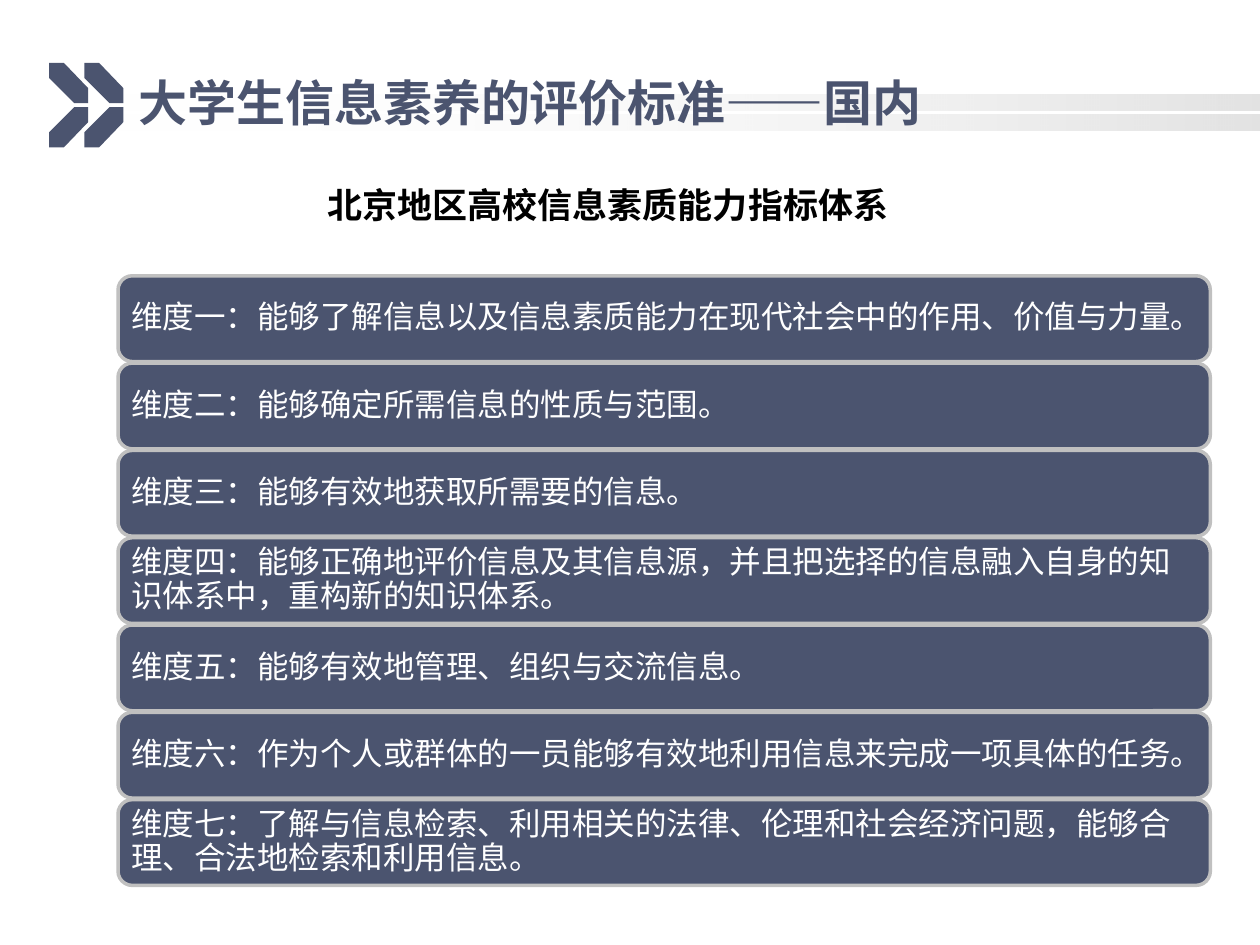
from dataclasses import dataclass

import lxml.etree
import pptx
import pptx.dml.color
import pptx.enum.shapes
import pptx.enum.text
import pptx.oxml.ns
import pptx.util

Cm = pptx.util.Cm
Pt = pptx.util.Pt
qn = pptx.oxml.ns.qn
FONT = "Noto Sans CJK SC"
NAVY = "4B546F"


@dataclass
class Box:
    left: float
    top: float
    width: float
    height: float

    def lengths(self) -> list:
        return [Cm(v) for v in (self.left, self.top, self.width, self.height)]


@dataclass
class TextStyle:
    size: int
    color: str
    bold: bool = False
    line_spacing: float = 1.0


def rgb(value: str):
    return pptx.dml.color.RGBColor.from_string(value)


def apply_format(target, values: dict) -> None:
    for name, value in values.items():
        setattr(target, name, value)


def write(tf, text: str, style: TextStyle, frame: dict) -> None:
    apply_format(tf, frame)
    p = tf.paragraphs[0]
    apply_format(p, {"alignment": pptx.enum.text.PP_ALIGN.LEFT,
                     "line_spacing": style.line_spacing})
    r = p.add_run()
    r.text = text
    apply_format(r.font, {"name": FONT, "size": Pt(style.size), "bold": style.bold})
    r.font.color.rgb = rgb(style.color)
    ea = lxml.etree.SubElement(r.font._element, qn("a:ea"))
    ea.set("typeface", FONT)


def draw_stripe(s, box: Box) -> None:
    sp = s.shapes.add_shape(pptx.enum.shapes.MSO_SHAPE.RECTANGLE, *box.lengths())
    sp.shadow.inherit = False
    sp.line.fill.background()
    sp.fill.gradient()
    sp.fill.gradient_angle = 0
    for stop, (position, color, opacity) in zip(
            sp.fill.gradient_stops, [(0, "FFFFFF", 0), (1, "969696", 27)]):
        stop.position = position
        stop.color.rgb = rgb(color)
    for color, opacity in zip(sp._element.spPr.iter(qn("a:srgbClr")), (0, 27)):
        alpha = lxml.etree.SubElement(color, qn("a:alpha"))
        alpha.set("val", str(opacity * 1000))


def draw_arm(s, left: float, edge: float, direction: int) -> None:
    outline = [(0, 0), (0, 0.3), (0.51, 0.81), (0.79, 0.81), (0.79, 0.51), (0.3, 0)]
    points = [(Cm(left + x), Cm(edge + direction * y)) for x, y in outline]
    builder = s.shapes.build_freeform(*points[0])
    builder.add_line_segments(points[1:], close=True)
    sp = builder.convert_to_shape()
    sp.shadow.inherit = False
    sp.fill.solid()
    sp.fill.fore_color.rgb = rgb(NAVY)
    sp.line.fill.background()


def draw_dimension(s, box: Box, text: str) -> None:
    sp = s.shapes.add_shape(pptx.enum.shapes.MSO_SHAPE.ROUNDED_RECTANGLE, *box.lengths())
    sp.shadow.inherit = False
    sp.fill.solid()
    sp.fill.fore_color.rgb = rgb(NAVY)
    sp.line.color.rgb = rgb("C0C0C0")
    sp.line.width = Pt(2)
    frame = {f"margin_{side}": Cm(0.18) for side in ("left", "right", "top", "bottom")}
    frame |= {"word_wrap": True, "vertical_anchor": pptx.enum.text.MSO_ANCHOR.MIDDLE}
    write(sp.text_frame, text, TextStyle(18, "FFFFFF", line_spacing=0.9), frame)


def main() -> None:
    prs = pptx.Presentation()
    apply_format(prs, {"slide_width": Cm(25.4), "slide_height": Cm(19.05)})
    s = prs.slides.add_slide(prs.slide_layouts[5])

    for top in (1.9, 2.31):
        draw_stripe(s, Box(1.9, top, 23.5, 0.33))
    for left in (0.99, 1.7):
        draw_arm(s, left, 1.27, 1)
        draw_arm(s, left, 2.97, -1)

    title = s.shapes.title
    s.shapes._spTree.append(title._element)
    apply_format(title, dict(zip(("left", "top", "width", "height"),
                                 Box(2.54, 1.27, 20.96, 1.58).lengths())))
    write(title.text_frame, "大学生信息素养的评价标准——国内", TextStyle(28, NAVY, True),
          {"word_wrap": True, "auto_size": pptx.enum.text.MSO_AUTO_SIZE.NONE,
           "vertical_anchor": pptx.enum.text.MSO_ANCHOR.MIDDLE})

    heading = s.shapes.add_textbox(*Box(6.35, 3.58, 11.91, 1.12).lengths())
    write(heading.text_frame, "北京地区高校信息素质能力指标体系", TextStyle(20, "000000", True),
          {"word_wrap": False,
           "auto_size": pptx.enum.text.MSO_AUTO_SIZE.SHAPE_TO_FIT_TEXT})

    dimensions = [
        "维度一：能够了解信息以及信息素质能力在现代社会中的作用、价值与力量。",
        "维度二：能够确定所需信息的性质与范围。",
        "维度三：能够有效地获取所需要的信息。",
        "维度四：能够正确地评价信息及其信息源，并且把选择的信息融入自身的知识体系中，重构新的知识体系。",
        "维度五：能够有效地管理、组织与交流信息。",
        "维度六：作为个人或群体的一员能够有效地利用信息来完成一项具体的任务。",
        "维度七：了解与信息检索、利用相关的法律、伦理和社会经济问题，能够合理、合法地检索和利用信息。",
    ]
    for i, text in enumerate(dimensions):
        draw_dimension(s, Box(2.38, 5.56 + 1.76 * i, 22.02, 1.73), text)

    prs.save("out.pptx")


if __name__ == "__main__":
    main()
